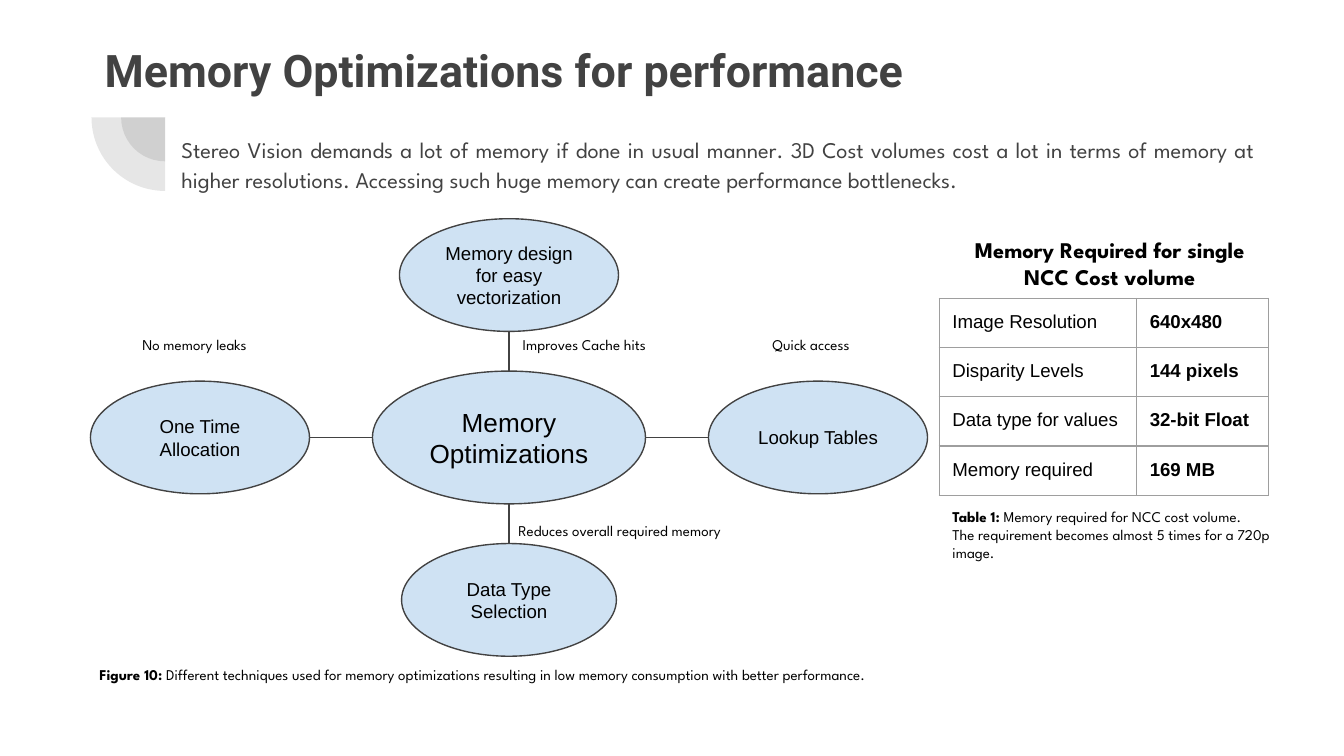
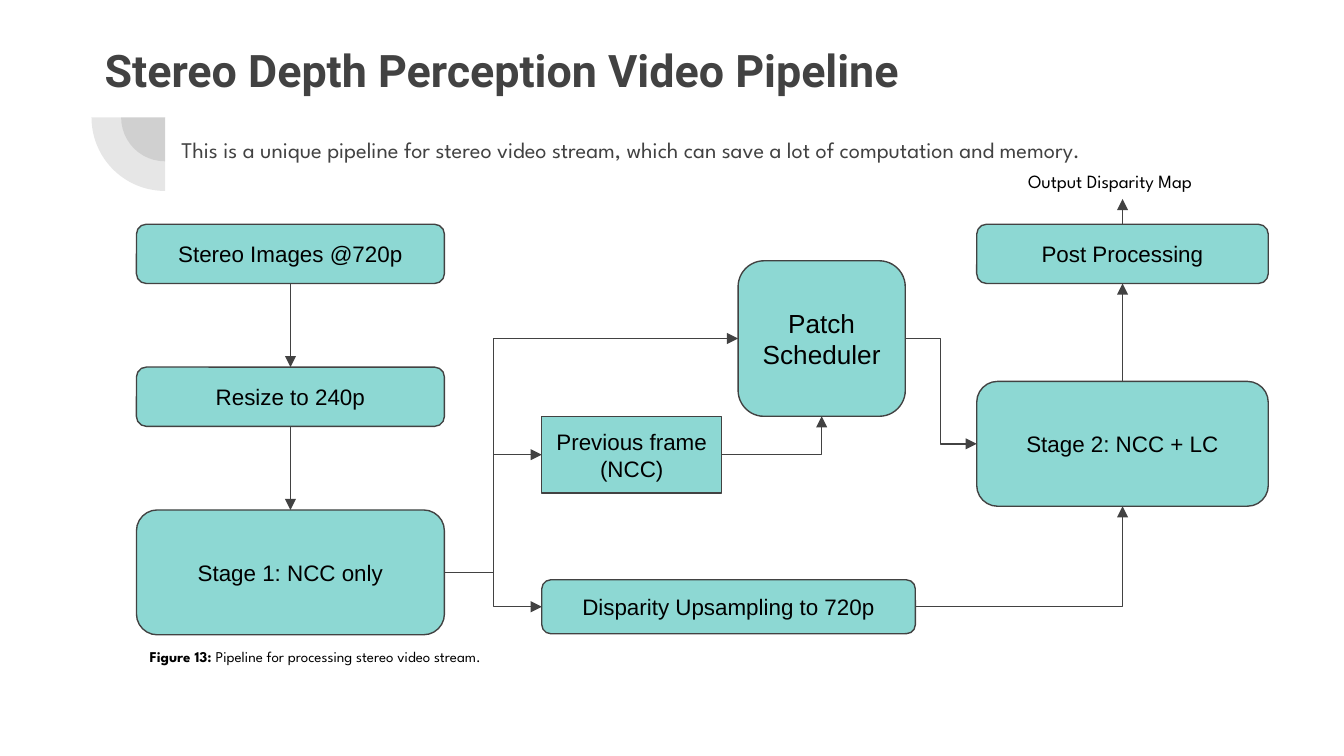
"""Build two slides on stereo vision memory use and its video pipeline."""
from dataclasses import dataclass

from lxml import etree
from pptx import Presentation
from pptx.dml.color import RGBColor
from pptx.enum.shapes import MSO_CONNECTOR, MSO_SHAPE
from pptx.enum.text import MSO_ANCHOR, PP_ALIGN
from pptx.oxml.ns import qn
from pptx.util import Cm, Pt

PIE, OVAL = MSO_SHAPE.PIE, MSO_SHAPE.OVAL
RECT, ROUND = MSO_SHAPE.RECTANGLE, MSO_SHAPE.ROUNDED_RECTANGLE
STRAIGHT, ELBOW = MSO_CONNECTOR.STRAIGHT, MSO_CONNECTOR.ELBOW
LEFT_ALIGN, CENTER, JUSTIFY = PP_ALIGN.LEFT, PP_ALIGN.CENTER, PP_ALIGN.JUSTIFY
ANCHOR_TOP, ANCHOR_MIDDLE = MSO_ANCHOR.TOP, MSO_ANCHOR.MIDDLE
TOP, LEFT, BOTTOM, RIGHT = range(4)


@dataclass(frozen=True)
class Theme:
    """Colours, fonts and type sizes."""
    ink: str = "424242"
    black: str = "000000"
    oval: str = "CFE2F3"
    box: str = "8DD8D3"
    border: str = "9E9E9E"
    heading_font: str = "Roboto"
    body_font: str = "League Spartan"
    shape_font: str = "Arial"
    title: float = 24
    large: float = 14
    body: float = 12
    small: float = 10
    caption: float = 8
    line: float = 0.75
    badge_alpha: int = 13


@dataclass(frozen=True)
class Box:
    """A rectangle in centimetres."""
    x: float
    y: float
    w: float
    h: float

    def emu(self) -> tuple:
        """Return the rectangle as lengths."""
        return Cm(self.x), Cm(self.y), Cm(self.w), Cm(self.h)


@dataclass(frozen=True)
class Technique:
    """An oval placed around the hub, with its benefit label."""
    text: str
    dx: int
    dy: int
    w: float
    benefit: str
    label: Box


@dataclass(frozen=True)
class Stage:
    """A box of the pipeline."""
    key: str
    text: str
    box: Box
    kind: MSO_SHAPE = ROUND
    size: float = 12


@dataclass(frozen=True)
class Flow:
    """An arrow between two stages, bent at x when via is given."""
    start: str
    exit: int
    end: str
    entry: int
    via: float | None = None


T = Theme()
BADGE_X, BADGE_Y, BADGE_RADII = 3.12, 2.22, (0.83, 1.39)
HUB_X, HUB_Y, HUB_W, HUB_H = 9.62, 8.27, 5.16, 2.51
REACH_X, REACH_Y, OVAL_H = 5.84, 3.07, 2.13
TECHNIQUES = (
    Technique("Memory design for easy vectorization", 0, -1, 4.14,
              "Improves Cache hits", Box(9.63, 6.2, 3.53, 0.64)),
    Technique("Data Type Selection", 0, 1, 4.06,
              "Reduces overall required memory", Box(9.55, 9.7, 4.88, 0.64)),
    Technique("One Time Allocation", -1, 0, 4.14,
              "No memory leaks", Box(2.44, 6.2, 2.69, 0.64)),
    Technique("Lookup Tables", 1, 0, 4.14,
              "Quick access", Box(14.35, 6.2, 2.21, 0.64)),
)
MEMORY_ROWS = (
    ("Image Resolution", "640x480"),
    ("Disparity Levels", "144 pixels"),
    ("Data type for values", "32-bit Float"),
    ("Memory required", "169 MB"),
)
COLUMN_WIDTHS, ROW_H = (3.73, 2.49), 0.93

INPUT_X, INPUT_W, INPUT_Y, INPUT_STEP = 2.58, 5.82, 4.24, 2.7
OUTPUT_X, OUTPUT_W = 18.46, 5.51
SLIM, TALL, BRANCH_X, MIDDLE_X = 1.12, 2.36, 9.33, 10.24
STAGES = (
    Stage("images", "Stereo Images @720p", Box(INPUT_X, INPUT_Y, INPUT_W, SLIM)),
    Stage("resize", "Resize to 240p",
          Box(INPUT_X, INPUT_Y + INPUT_STEP, INPUT_W, SLIM)),
    Stage("stage1", "Stage 1: NCC only",
          Box(INPUT_X, INPUT_Y + 2 * INPUT_STEP, INPUT_W, TALL)),
    Stage("previous", "Previous frame (NCC)", Box(MIDDLE_X, 7.87, 3.4, 1.45), RECT),
    Stage("upsample", "Disparity Upsampling to 720p",
          Box(MIDDLE_X, 10.96, 7.06, 1.02)),
    Stage("scheduler", "Patch\nScheduler", Box(13.95, 4.93, 3.16, 2.94),
          size=T.large),
    Stage("stage2", "Stage 2: NCC + LC", Box(OUTPUT_X, 7.21, OUTPUT_W, TALL)),
    Stage("post", "Post Processing", Box(OUTPUT_X, INPUT_Y, OUTPUT_W, SLIM)),
)
FLOWS = (
    Flow("images", BOTTOM, "resize", TOP),
    Flow("resize", BOTTOM, "stage1", TOP),
    Flow("stage1", RIGHT, "upsample", LEFT, BRANCH_X),
    Flow("stage1", RIGHT, "previous", LEFT, BRANCH_X),
    Flow("stage1", RIGHT, "scheduler", LEFT, BRANCH_X),
    Flow("previous", RIGHT, "scheduler", BOTTOM),
    Flow("scheduler", RIGHT, "stage2", LEFT, 17.78),
    Flow("upsample", RIGHT, "stage2", BOTTOM),
    Flow("stage2", TOP, "post", BOTTOM),
)


def rgb(color: str) -> RGBColor:
    """Turn a hex string into a colour."""
    return RGBColor.from_string(color)


def write(tf, text: str, *, lead: str = "", size: float = T.caption,
          font: str = T.body_font, color: str = T.black, bold: bool = False,
          align=LEFT_ALIGN, anchor=ANCHOR_TOP, spacing: float = 1.0,
          after: float = 0) -> None:
    """Fill a text frame, one paragraph a line, after an optional bold lead."""
    tf.word_wrap = True
    tf.vertical_anchor = anchor
    tf.margin_left = tf.margin_right = tf.margin_top = tf.margin_bottom = Cm(0.25)
    for i, line in enumerate(text.split("\n")):
        p = tf.add_paragraph() if i else tf.paragraphs[0]
        p.alignment, p.line_spacing, p.space_after = align, spacing, Pt(after)
        parts = [(line, bold)]
        if lead and i == 0:
            parts.insert(0, (lead, True))
        for part, is_bold in parts:
            r = p.add_run()
            r.text = part
            r.font.name, r.font.size, r.font.bold = font, Pt(size), is_bold
            r.font.color.rgb = rgb(color)


def add_text(s, box: Box, text: str, **fmt) -> None:
    """Add a text box."""
    write(s.shapes.add_textbox(*box.emu()).text_frame, text, **fmt)


def add_node(s, kind, box: Box, text: str, fill: str, size: float):
    """Add an outlined shape with centred text."""
    sp = s.shapes.add_shape(kind, *box.emu())
    sp.shadow.inherit = False
    sp.fill.solid()
    sp.fill.fore_color.rgb = rgb(fill)
    sp.line.color.rgb = rgb(T.ink)
    sp.line.width = Pt(T.line)
    write(sp.text_frame, text, size=size, font=T.shape_font, align=CENTER,
          anchor=ANCHOR_MIDDLE)
    return sp


def add_line(s, kind, x1: float, y1: float, x2: float, y2: float,
             arrow: bool = False):
    """Add a thin connector between two points."""
    c = s.shapes.add_connector(kind, Cm(x1), Cm(y1), Cm(x2), Cm(y2))
    c.line.color.rgb = rgb(T.ink)
    c.line.width = Pt(T.line)
    if arrow:
        etree.SubElement(c.line._get_or_add_ln(), qn("a:tailEnd"), type="triangle")
    etree.SubElement(c._element.spPr, qn("a:effectLst"))
    return c


def add_flow(s, flow: Flow, shapes: dict) -> None:
    """Glue an arrow to two stages and set its bend."""
    straight = flow.exit in (TOP, BOTTOM)
    c = add_line(s, STRAIGHT if straight else ELBOW, 0, 0, 0, 0, arrow=True)
    c.begin_connect(shapes[flow.start], flow.exit)
    c.end_connect(shapes[flow.end], flow.entry)
    geom = c._element.spPr.find(qn("a:prstGeom"))
    if flow.via is not None:
        ratio = (Cm(flow.via) - c.begin_x) / (c.end_x - c.begin_x)
        etree.SubElement(geom.find(qn("a:avLst")), qn("a:gd"), name="adj1",
                         fmla=f"val {round(ratio * 100000)}")
    elif not straight:
        geom.set("prst", "bentConnector2")


def add_badge(s) -> None:
    """Add the two translucent quarter discs beside the intro."""
    for radius in BADGE_RADII:
        box = Box(BADGE_X - radius, BADGE_Y - radius, 2 * radius, 2 * radius)
        sp = s.shapes.add_shape(PIE, *box.emu())
        sp.adjustments[0], sp.adjustments[1] = 54, 108
        sp.shadow.inherit = False
        sp.line.fill.background()
        sp.fill.solid()
        sp.fill.fore_color.rgb = rgb(T.ink)
        color = sp._element.spPr.find(qn("a:solidFill")).find(qn("a:srgbClr"))
        etree.SubElement(color, qn("a:alpha"), val=str(T.badge_alpha * 1000))


def add_base(prs, title: str, intro: str):
    """Add a slide with badge, title and intro."""
    s = prs.slides.add_slide(prs.slide_layouts[6])
    add_badge(s)
    add_text(s, Box(1.73, 0.56, 20.98, 1.68), title, size=T.title,
             font=T.heading_font, color=T.ink, bold=True)
    add_text(s, Box(3.18, 2.24, 20.8, 1.45), intro, size=T.body, color=T.ink,
             align=JUSTIFY, spacing=1.15, after=16)
    return s


def add_borders(cell) -> None:
    """Draw the four borders of a table cell."""
    pr = cell._tc.get_or_add_tcPr()
    for i, side in enumerate(("lnL", "lnR", "lnT", "lnB")):
        ln = etree.Element(qn(f"a:{side}"), w=str(Pt(T.line)))
        fill = etree.SubElement(ln, qn("a:solidFill"))
        etree.SubElement(fill, qn("a:srgbClr"), val=T.border)
        pr.insert(i, ln)


def add_memory_table(s, x: float, y: float) -> None:
    """Add the table of memory needs."""
    box = Box(x, y, sum(COLUMN_WIDTHS), ROW_H * len(MEMORY_ROWS))
    tbl = s.shapes.add_table(len(MEMORY_ROWS), len(COLUMN_WIDTHS), *box.emu()).table
    tbl.first_row = tbl.horz_banding = False
    for column, width in zip(tbl.columns, COLUMN_WIDTHS):
        column.width = Cm(width)
    for i, values in enumerate(MEMORY_ROWS):
        tbl.rows[i].height = Cm(ROW_H)
        for j, value in enumerate(values):
            cell = tbl.cell(i, j)
            write(cell.text_frame, value, size=T.small, font=T.shape_font, bold=j == 1)
            cell.margin_left = cell.margin_right = Cm(0.25)
            cell.margin_top = cell.margin_bottom = Cm(0.25)
            cell.fill.background()
            add_borders(cell)


def build_memory(prs) -> None:
    """Build the memory optimizations slide."""
    s = add_base(prs, "Memory Optimizations for performance",
                 "Stereo Vision demands a lot of memory if done in usual manner. "
                 "3D Cost volumes cost a lot in terms of memory at higher resolutions. "
                 "Accessing such huge memory can create performance bottlenecks.")
    add_node(s, OVAL, Box(HUB_X - HUB_W / 2, HUB_Y - HUB_H / 2, HUB_W, HUB_H),
             "Memory Optimizations", T.oval, T.large)
    for t in TECHNIQUES:
        x, y = HUB_X + t.dx * REACH_X, HUB_Y + t.dy * REACH_Y
        add_node(s, OVAL, Box(x - t.w / 2, y - OVAL_H / 2, t.w, OVAL_H),
                 t.text, T.oval, T.small)
        add_line(s, STRAIGHT, HUB_X + t.dx * HUB_W / 2, HUB_Y + t.dy * HUB_H / 2,
                 x - t.dx * t.w / 2, y - t.dy * OVAL_H / 2)
        add_text(s, t.label, t.benefit, anchor=ANCHOR_MIDDLE)
    add_text(s, Box(1.63, 12.42, 16.41, 0.89),
             " Different techniques used for memory optimizations resulting in "
             "low memory consumption with better performance.", lead="Figure 10:")
    add_memory_table(s, 17.75, 5.64)
    add_text(s, Box(17.98, 4.22, 5.99, 1.42),
             "Memory Required for single NCC Cost volume",
             size=T.body, bold=True, align=CENTER)
    add_text(s, Box(17.75, 9.35, 6.55, 1.73),
             " Memory required for NCC cost volume.\n"
             "The requirement becomes almost 5 times for a 720p image.",
             lead="Table 1:")


def build_pipeline(prs) -> None:
    """Build the video pipeline slide."""
    s = add_base(prs, "Stereo Depth Perception Video Pipeline",
                 "This is a unique pipeline for stereo video stream, "
                 "which can save a lot of computation and memory.")
    shapes = {g.key: add_node(s, g.kind, g.box, g.text, T.box, g.size) for g in STAGES}
    for flow in FLOWS:
        add_flow(s, flow, shapes)
    output_center = OUTPUT_X + OUTPUT_W / 2
    add_line(s, STRAIGHT, output_center, INPUT_Y, output_center, 3.76, arrow=True)
    add_text(s, Box(19.18, 3, 4.09, 0.89), "Output Disparity Map", size=T.small)
    add_text(s, Box(INPUT_X, 12.07, 9.42, 1.07),
             " Pipeline for processing stereo video stream.", lead="Figure 13:")


def main() -> None:
    """Build and save the presentation."""
    prs = Presentation()
    prs.slide_width, prs.slide_height = Cm(25.4), Cm(14.29)
    build_memory(prs)
    build_pipeline(prs)
    prs.save("out.pptx")


if __name__ == "__main__":
    main()
